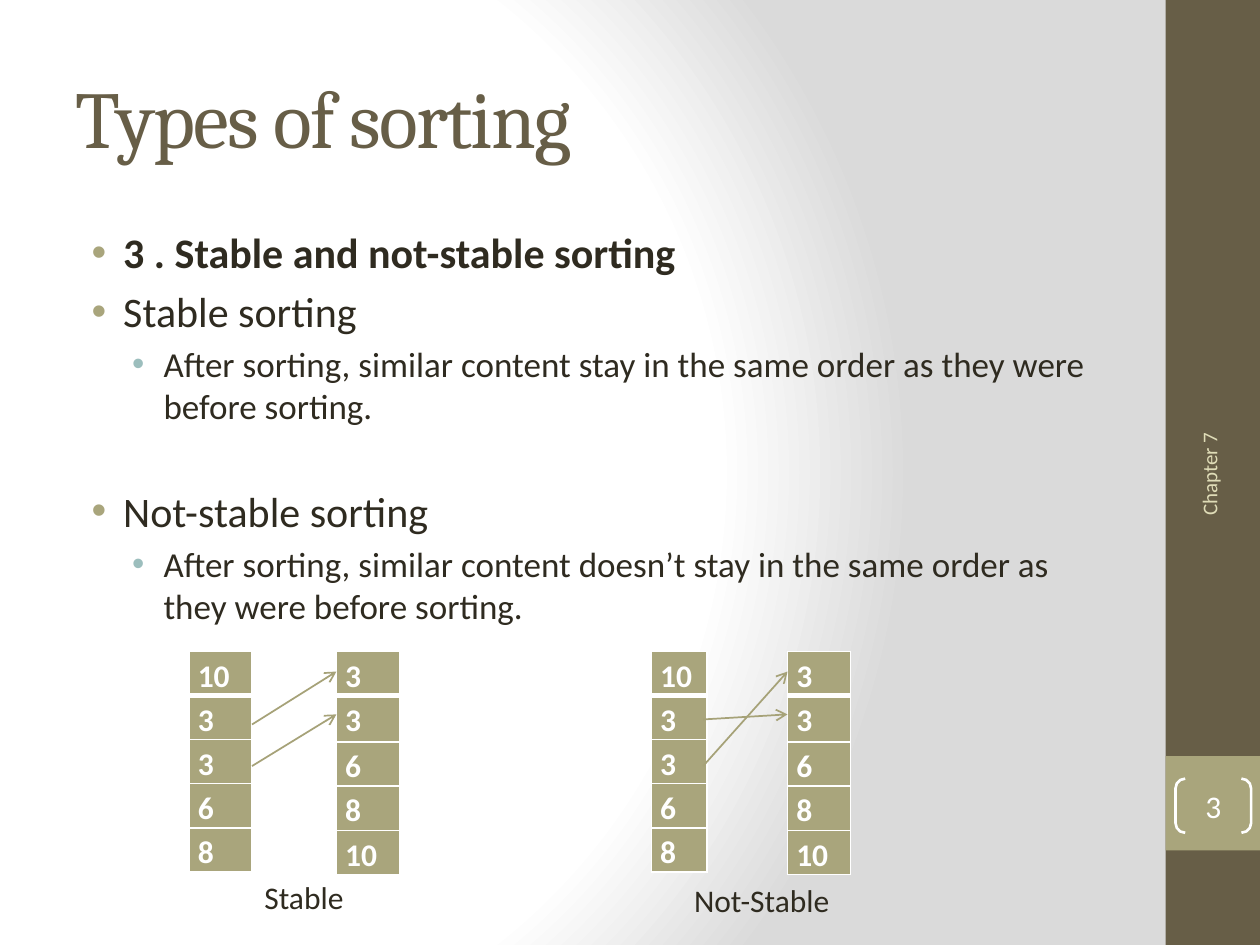
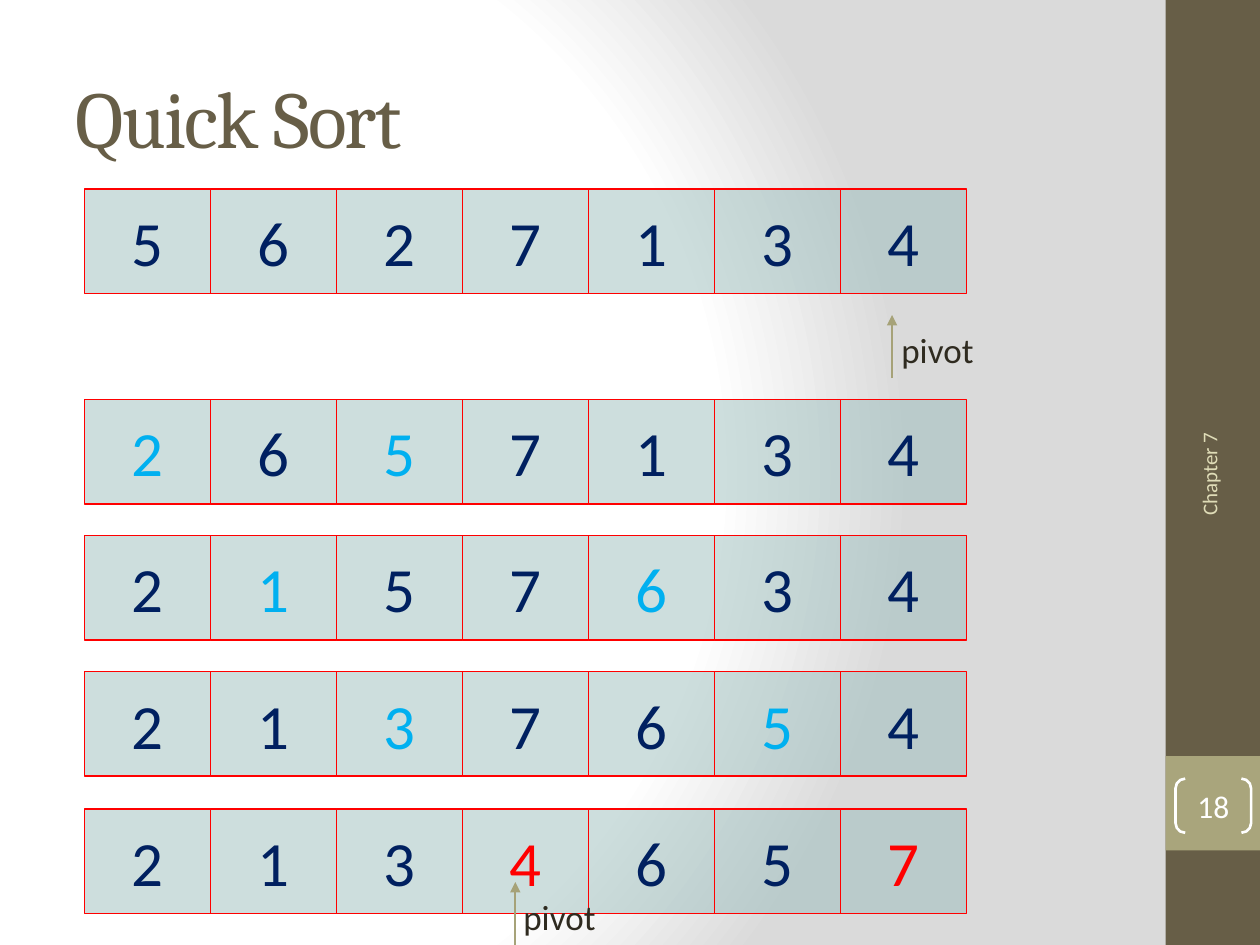
from typing import Any, NamedTuple

from lxml.etree import SubElement
from pptx import Presentation
from pptx.dml.color import RGBColor
from pptx.enum.shapes import MSO_CONNECTOR, MSO_SHAPE
from pptx.enum.text import MSO_ANCHOR, MSO_AUTO_SIZE, PP_ALIGN
from pptx.oxml import parse_xml
from pptx.oxml.ns import nsdecls, qn
from pptx.util import Inches, Pt

COLORS = {
    "title": "675E47", "band": "675E47", "accent": "A9A57C", "text": "2F2B20",
    "chapter": "DFDCB7", "white": "FFFFFF", "shade": "DADADA", "arrow": "A6A278",
    "teal": "9CBEBD", "outline": "FF0000", "digit": "002060", "swapped": "00B0F0",
    "placed": "FF0000",
}
TITLE_ONLY = 5
TABLE_TOP = 5.17
CELL_WIDTH, CELL_HEIGHT, ARRAY_LEFT = 1, 0.83, 0.67


class Box(NamedTuple):
    left: float
    top: float
    width: float
    height: float


class Point(NamedTuple):
    x: float
    y: float


class Bullet(NamedTuple):
    text: str
    level: int = 0
    before: float = 4.8
    bold: bool = False


class BulletStyle(NamedTuple):
    indent: float
    size: float
    color: str


class ValueColumn(NamedTuple):
    left: float
    width: float
    values: tuple[int, ...]
    second_height: float


class ArrayStep(NamedTuple):
    top: float
    digits: str
    marked: str
    mark_color: str


class Pivot(NamedTuple):
    x: float
    tip: float
    label: Box


BULLET_STYLES = (BulletStyle(0.38, 24, "accent"), BulletStyle(0.7, 20, "teal"))
BULLETS = (
    Bullet("3 . Stable and not-stable sorting", before=0, bold=True),
    Bullet("Stable sorting"),
    Bullet("After sorting, similar content stay in the same order as they were "
           "before sorting.", 1, 4),
    Bullet("Not-stable sorting", before=33.2),
    Bullet("After sorting, similar content doesn’t stay in the same order as they "
           "were before sorting.", 1, 4),
)
UNSORTED, SORTED = (10, 3, 3, 6, 8), (3, 3, 6, 8, 10)
COLUMNS = (
    ValueColumn(1.5, 0.5, UNSORTED, 0.35),
    ValueColumn(2.67, 0.5, SORTED, 0.37),
    ValueColumn(6.25, 0.5, SORTED, 0.37),
    ValueColumn(5.17, 0.44, UNSORTED, 0.35),
)
MOVES = (
    (Point(2, 5.75), Point(2.67, 5.33)),
    (Point(2, 6.08), Point(2.67, 5.67)),
    (Point(5.58, 6.08), Point(6.25, 5.33)),
    (Point(5.58, 5.71), Point(6.25, 5.67)),
)
CAPTIONS = (("Stable", Box(2, 6.92, 0.84, 0.4)), ("Not-Stable", Box(5.41, 6.94, 1.29, 0.4)))
SWAPS = (("2657134", "25"), ("2157634", "16"), ("2137654", "35"))
STEPS = (
    ArrayStep(1.5, "5627134", "", "digit"),
    *(ArrayStep(3.17 + 1.08 * i, digits, marked, "swapped")
      for i, (digits, marked) in enumerate(SWAPS)),
    ArrayStep(6.42, "2134657", "47", "placed"),
)
PIVOTS = (Pivot(7.08, 2.5, Box(7.05, 2.56, 0.78, 0.44)),
          Pivot(4.09, 7, Box(4.05, 7.06, 0.78, 0.44)))


def rgb(key: str) -> RGBColor:
    """Return a palette colour."""
    return RGBColor.from_string(COLORS[key])


def apply_formats(target: Any, formats: dict[str, Any]) -> None:
    """Set each named attribute on the target."""
    for attribute, value in formats.items():
        setattr(target, attribute, value)


def lengths(box: Box) -> tuple:
    """Return the box as lengths."""
    return tuple(Inches(side) for side in box)


def style_font(font: Any, size: float, color: str, name: str = "Calibri",
               bold: bool = False) -> None:
    """Give a font its face, size, weight and colour."""
    apply_formats(font, {"name": name, "size": Pt(size), "bold": bold})
    font.color.rgb = rgb(color)


def write(frame: Any, text: str, size: float, color: str, align: PP_ALIGN = PP_ALIGN.LEFT) -> None:
    """Write one styled paragraph into a frame."""
    paragraph = frame.paragraphs[0]
    paragraph.text = text
    paragraph.alignment = align
    style_font(paragraph.runs[0].font, size, color)


def add_rectangle(slide: Any, box: Box, fill: str, line: str | None = None) -> Any:
    """Add a flat rectangle."""
    rectangle = slide.shapes.add_shape(MSO_SHAPE.RECTANGLE, *lengths(box))
    rectangle.shadow.inherit = False
    rectangle.fill.solid()
    rectangle.fill.fore_color.rgb = rgb(fill)
    if line is None:
        rectangle.line.fill.background()
    else:
        rectangle.line.color.rgb = rgb(line)
        rectangle.line.width = Pt(0.75)
    return rectangle


def add_label(slide: Any, text: str, box: Box, size: float,
              align: PP_ALIGN = PP_ALIGN.LEFT) -> None:
    """Add a one-line label that fits its text."""
    frame = slide.shapes.add_textbox(*lengths(box)).text_frame
    apply_formats(frame, {"word_wrap": False, "auto_size": MSO_AUTO_SIZE.SHAPE_TO_FIT_TEXT})
    write(frame, text, size, "text", align)


def add_arrow(slide: Any, start: Point, end: Point, head: str) -> None:
    """Add a straight arrow."""
    arrow = slide.shapes.add_connector(
        MSO_CONNECTOR.STRAIGHT, *(Inches(length) for length in (*start, *end)))
    arrow.line.color.rgb = rgb("arrow")
    arrow.line.width = Pt(1)
    SubElement(arrow.line._get_or_add_ln(), qn("a:tailEnd"), type=head)
    SubElement(arrow._element.spPr, qn("a:effectLst"))


def set_background(master: Any) -> None:
    """Give the master its radial gradient."""
    master.background.fill.solid()
    properties = master._element.find(".//" + qn("p:bgPr"))
    stops = "".join(
        f'<a:gs pos="{position}"><a:srgbClr val="{COLORS[color]}"/></a:gs>'
        for position, color in ((0, "white"), (75000, "white"), (100000, "shade")))
    properties.replace(properties[0], parse_xml(
        f'<a:gradFill {nsdecls("a")} rotWithShape="1"><a:gsLst>{stops}</a:gsLst>'
        '<a:path path="circle"><a:fillToRect l="20000" t="50000" r="100000" b="50000"/>'
        '</a:path></a:gradFill>'))


def add_titled_slide(deck: Any, title: str, number: int) -> Any:
    """Add a slide with the shared side band, title, chapter and number."""
    slide = deck.slides.add_slide(deck.slide_layouts[TITLE_ONLY])
    add_rectangle(slide, Box(9.25, 0, 0.75, 7.5), "band")
    add_rectangle(slide, Box(9.25, 6, 0.75, 0.75), "accent")

    heading = slide.shapes.title
    apply_formats(heading, dict(zip(("left", "top", "width", "height"),
                                    lengths(Box(0.5, 0.3, 8.33, 1.25)))))
    apply_formats(heading.text_frame, {"vertical_anchor": MSO_ANCHOR.MIDDLE, "word_wrap": True,
                                       "auto_size": MSO_AUTO_SIZE.NONE})
    write(heading.text_frame, title, 46, "title")
    font = heading.text_frame.paragraphs[0].runs[0].font
    font.name = "Cambria"
    font._element.set("spc", "-100")

    chapter = slide.shapes.add_textbox(*lengths(Box(8.3, 4.43, 2.59, 0.4)))
    chapter.rotation = 270
    apply_formats(chapter.text_frame, {"word_wrap": True, "vertical_anchor": MSO_ANCHOR.MIDDLE})
    write(chapter.text_frame, "Chapter 7", 12, "chapter", PP_ALIGN.RIGHT)

    brackets = slide.shapes.add_shape(MSO_SHAPE.DOUBLE_BRACKET,
                                      *lengths(Box(9.33, 6.18, 0.6, 0.43)))
    brackets.shadow.inherit = False
    brackets.adjustments[0] = 0.179
    brackets.fill.background()
    brackets.line.color.rgb = rgb("white")
    brackets.line.width = Pt(1.5)
    apply_formats(brackets.text_frame, {
        "margin_left": 0, "margin_top": 0, "margin_right": 0, "margin_bottom": 0,
        "vertical_anchor": MSO_ANCHOR.MIDDLE})
    write(brackets.text_frame, str(number), 18, "white", PP_ALIGN.CENTER)
    return slide


def add_bullets(slide: Any) -> None:
    """Add the two-level list of sorting types."""
    frame = slide.shapes.add_textbox(*lengths(Box(0.5, 1.75, 8.33, 5.25))).text_frame
    frame.word_wrap = True
    for i, bullet in enumerate(BULLETS):
        style = BULLET_STYLES[bullet.level]
        paragraph = frame.add_paragraph() if i else frame.paragraphs[0]
        apply_formats(paragraph, {"text": bullet.text, "level": bullet.level,
                                  "space_before": Pt(bullet.before)})
        properties = paragraph._p.get_or_add_pPr()
        properties.set("marL", str(Inches(style.indent)))
        properties.set("indent", str(Inches(-0.25)))
        color = SubElement(properties, qn("a:buClr"))
        SubElement(color, qn("a:srgbClr"), val=COLORS[style.color])
        SubElement(properties, qn("a:buFont"), typeface="Arial")
        SubElement(properties, qn("a:buChar"), char="•")
        style_font(paragraph.runs[0].font, style.size, "text", bold=bullet.bold)


def set_borders(cell: Any, widths: dict[str, float]) -> None:
    """Draw white cell borders of the given widths."""
    properties = cell._tc.get_or_add_tcPr()
    for i, (side, width) in enumerate(widths.items()):
        properties.insert(i, parse_xml(
            f'<a:{side} {nsdecls("a")} w="{Pt(width)}"><a:solidFill>'
            f'<a:srgbClr val="{COLORS["white"]}"/></a:solidFill></a:{side}>'))


def add_value_column(slide: Any, column: ValueColumn) -> None:
    """Add a one-column table of values."""
    heights = [0.35, column.second_height, 0.35, 0.35, 0.35]
    table = slide.shapes.add_table(len(column.values), 1, *lengths(
        Box(column.left, TABLE_TOP, column.width, sum(heights)))).table
    apply_formats(table, {"first_row": False, "horz_banding": False})
    for i, (value, height) in enumerate(zip(column.values, heights)):
        table.rows[i].height = Inches(height)
        cell = table.cell(i, 0)
        apply_formats(cell, {"margin_left": Inches(0.07), "margin_right": Inches(0.07),
                             "margin_top": 0, "margin_bottom": 0})
        cell.fill.solid()
        cell.fill.fore_color.rgb = rgb("accent")
        set_borders(cell, {"lnL": 1, "lnR": 1, "lnT": 3 if i == 1 else 1,
                           "lnB": 3 if i == 0 else 1})
        write(cell.text_frame, str(value), 18, "white")
        paragraph = cell.text_frame.paragraphs[0]
        paragraph.line_spacing = 1.15
        paragraph.runs[0].font.bold = True


def add_array(slide: Any, step: ArrayStep) -> None:
    """Add one state of the array as a row of see-through cells."""
    for i, digit in enumerate(step.digits):
        cell = add_rectangle(slide, Box(ARRAY_LEFT + i * CELL_WIDTH, step.top,
                                        CELL_WIDTH, CELL_HEIGHT), "teal", "outline")
        fill_color = cell._element.spPr.find(qn("a:solidFill"))[0]
        SubElement(fill_color, qn("a:alpha"), val="50000")
        cell.text_frame.vertical_anchor = MSO_ANCHOR.MIDDLE
        color = step.mark_color if digit in step.marked else "digit"
        write(cell.text_frame, digit, 36, color, PP_ALIGN.CENTER)


def build_sorting_types(deck: Any) -> None:
    """Build the slide on stable and not-stable sorting."""
    slide = add_titled_slide(deck, "Types of sorting", 3)
    add_bullets(slide)
    for column in COLUMNS:
        add_value_column(slide, column)
    for start, end in MOVES:
        add_arrow(slide, start, end, "arrow")
    for caption, box in CAPTIONS:
        add_label(slide, caption, box, 18)


def build_quick_sort(deck: Any) -> None:
    """Build the slide with the steps of a quick sort."""
    slide = add_titled_slide(deck, "Quick Sort", 18)
    for step in STEPS:
        add_array(slide, step)
    for pivot in PIVOTS:
        add_arrow(slide, Point(pivot.x, pivot.tip + 0.5), Point(pivot.x, pivot.tip), "triangle")
        add_label(slide, "pivot", pivot.label, 20, PP_ALIGN.CENTER)


def main() -> None:
    """Build and save the slides."""
    deck = Presentation()
    apply_formats(deck, {"slide_width": Inches(10), "slide_height": Inches(7.5)})
    set_background(deck.slide_master)
    build_sorting_types(deck)
    build_quick_sort(deck)
    deck.save("out.pptx")


if __name__ == "__main__":
    main()
